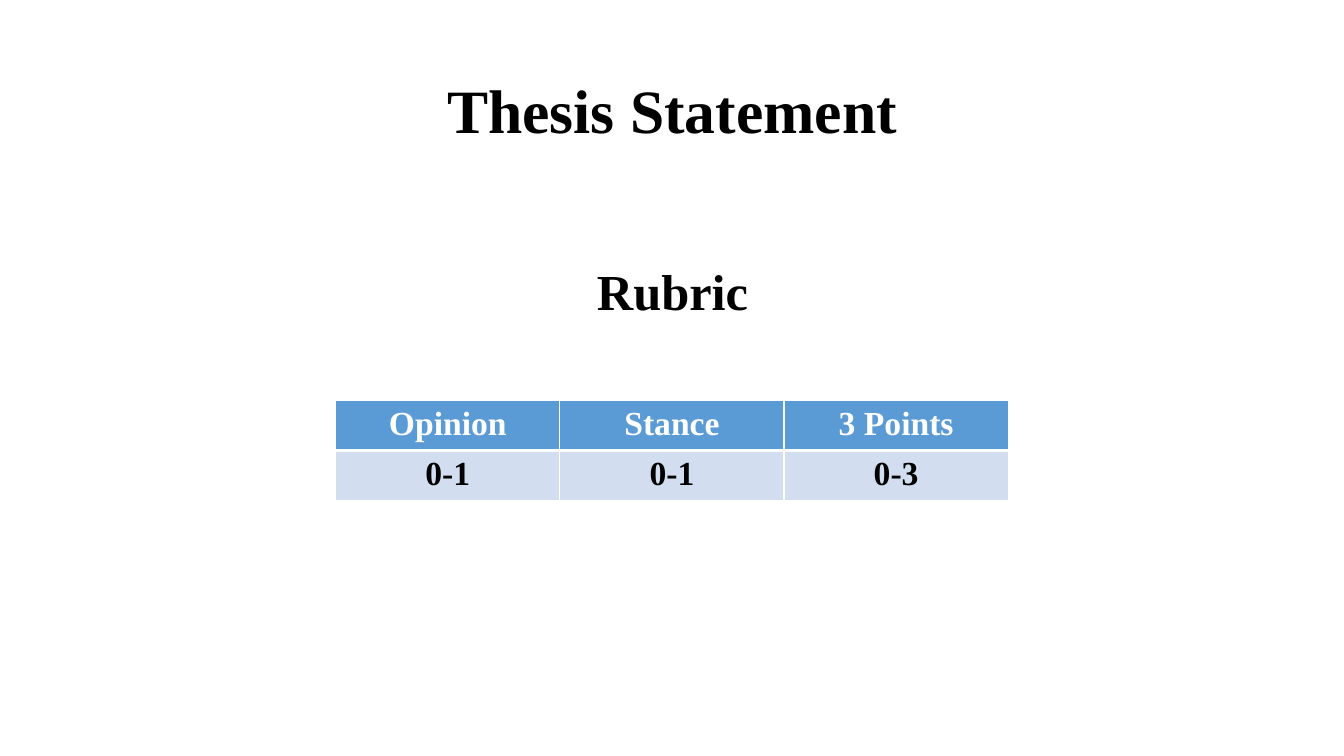
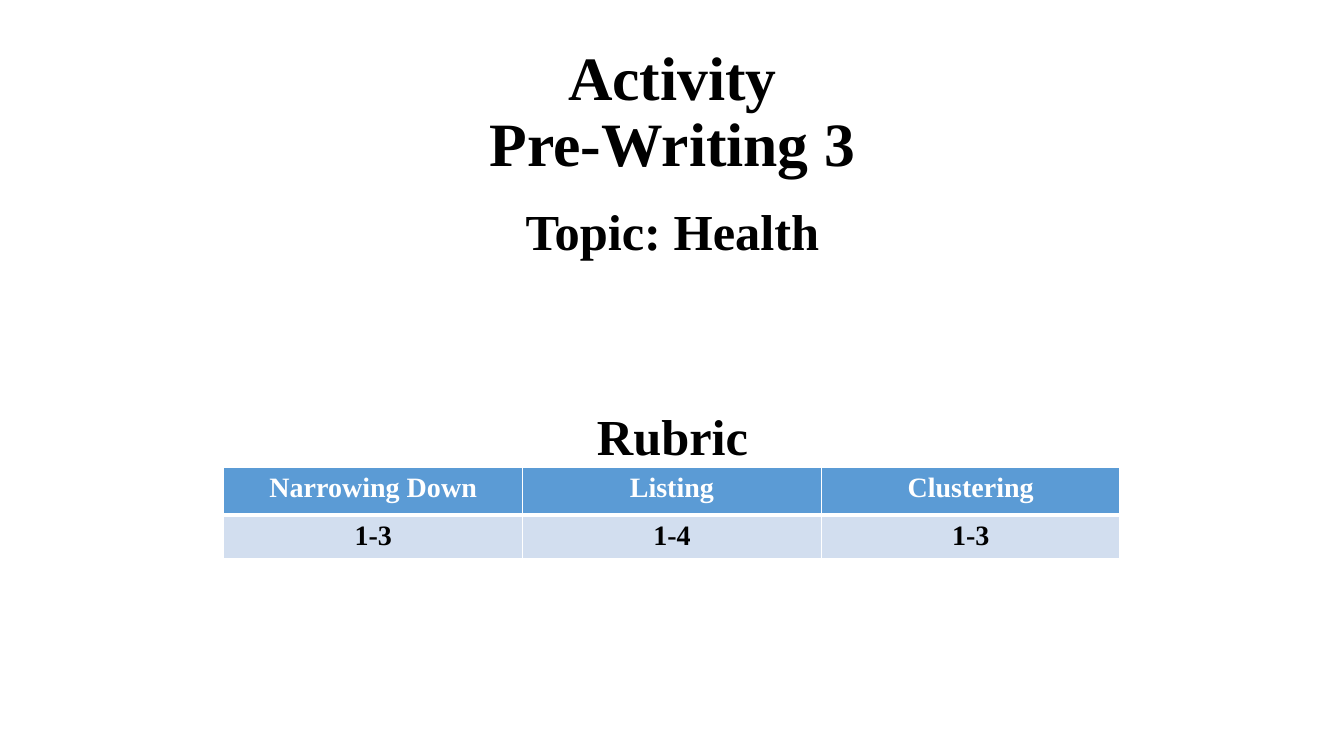
from lxml.etree import SubElement
from pptx import Presentation
from pptx.dml.color import RGBColor
from pptx.enum.text import MSO_ANCHOR, MSO_AUTO_SIZE, PP_ALIGN
from pptx.oxml.ns import qn
from pptx.util import Inches, Pt

COLORS = {"text": "000000", "white": "FFFFFF", "header": "5B9BD5", "score": "D2DEEF"}
FONT = "Times New Roman"
PAGE_WIDTH = 13.33
CONTENT_LEFT, CONTENT_WIDTH = 0.92, 11.5


def color(name):
    """Return a palette colour."""
    return RGBColor.from_string(COLORS[name])


def write_line(frame, text, size, color_name="text", spacing=0.9):
    """Write one bold centred paragraph, breaking lines at each newline."""
    para = frame.paragraphs[0]
    para.alignment = PP_ALIGN.CENTER
    para.line_spacing = spacing
    for index, part in enumerate(text.split("\n")):
        if index:
            para.add_line_break()
        span = para.add_run()
        span.text = part
        span.font.name = FONT
        span.font.size = Pt(size)
        span.font.bold = True
        span.font.color.rgb = color(color_name)


def add_title(page, text):
    """Place and format the title placeholder."""
    title = page.shapes.title
    title.left, title.top = Inches(CONTENT_LEFT), Inches(0.4)
    title.width, title.height = Inches(CONTENT_WIDTH), Inches(1.45)
    frame = title.text_frame
    frame.word_wrap = True
    frame.auto_size = MSO_AUTO_SIZE.NONE
    frame.vertical_anchor = MSO_ANCHOR.MIDDLE
    write_line(frame, text, 44)


def add_heading(page, text, top):
    """Add a centred heading across the content area."""
    box = page.shapes.add_textbox(
        Inches(CONTENT_LEFT), Inches(top), Inches(CONTENT_WIDTH), Inches(0.62)
    )
    box.text_frame.word_wrap = True
    write_line(box.text_frame, text, 36)


def set_borders(cell, widths):
    """Draw white borders with the given left, right, top and bottom widths."""
    properties = cell._tc.get_or_add_tcPr()
    for index, (side, width) in enumerate(zip("LRTB", widths)):
        line = SubElement(properties, qn(f"a:ln{side}"), w=str(Pt(width)))
        fill = SubElement(line, qn("a:solidFill"))
        SubElement(fill, qn("a:srgbClr"), val=COLORS["white"])
        properties.insert(index, line)


def add_rubric(page, criteria, top, width, row_heights, size):
    """Add a centred table of criteria and their score ranges."""
    rows = [list(criteria), list(criteria.values())]
    graphic = page.shapes.add_table(
        len(rows), len(criteria), Inches((PAGE_WIDTH - width) / 2), Inches(top),
        Inches(width), Inches(sum(row_heights)),
    )
    table = graphic.table
    for column in table.columns:
        column.width = Inches(width / len(criteria))
    styles = [("header", "white", (1, 1, 1, 3)), ("score", "text", (1, 1, 3, 1))]
    for row, (texts, height, style) in enumerate(zip(rows, row_heights, styles)):
        fill_name, text_name, widths = style
        table.rows[row].height = Inches(height)
        for column, text in enumerate(texts):
            cell = table.cell(row, column)
            cell.fill.solid()
            cell.fill.fore_color.rgb = color(fill_name)
            set_borders(cell, widths)
            write_line(cell.text_frame, text, size, text_name, 1.0)


def add_page(deck, title, headings, rubric):
    """Add a slide with a title, headings by top position and a rubric."""
    page = deck.slides.add_slide(deck.slide_layouts[5])
    add_title(page, title)
    for text, top in headings.items():
        add_heading(page, text, top)
    add_rubric(page, **rubric)


def main():
    """Build and save the deck."""
    deck = Presentation()
    deck.slide_width, deck.slide_height = Inches(PAGE_WIDTH), Inches(7.5)
    add_page(
        deck, "Thesis Statement", {"Rubric": 2.6},
        {"criteria": {"Opinion": "0-1", "Stance": "0-1", "3 Points": "0-3"},
         "top": 3.97, "width": 6.67, "row_heights": (0.46, 0.46), "size": 24},
    )
    add_page(
        deck, "Activity\nPre-Writing 3", {"Topic: Health": 2, "Rubric": 4.04},
        {"criteria": {"Narrowing Down": "1-3", "Listing": "1-4", "Clustering": "1-3"},
         "top": 4.64, "width": 8.89, "row_heights": (0.47, 0.41), "size": 20},
    )
    deck.save("out.pptx")


if __name__ == "__main__":
    main()
